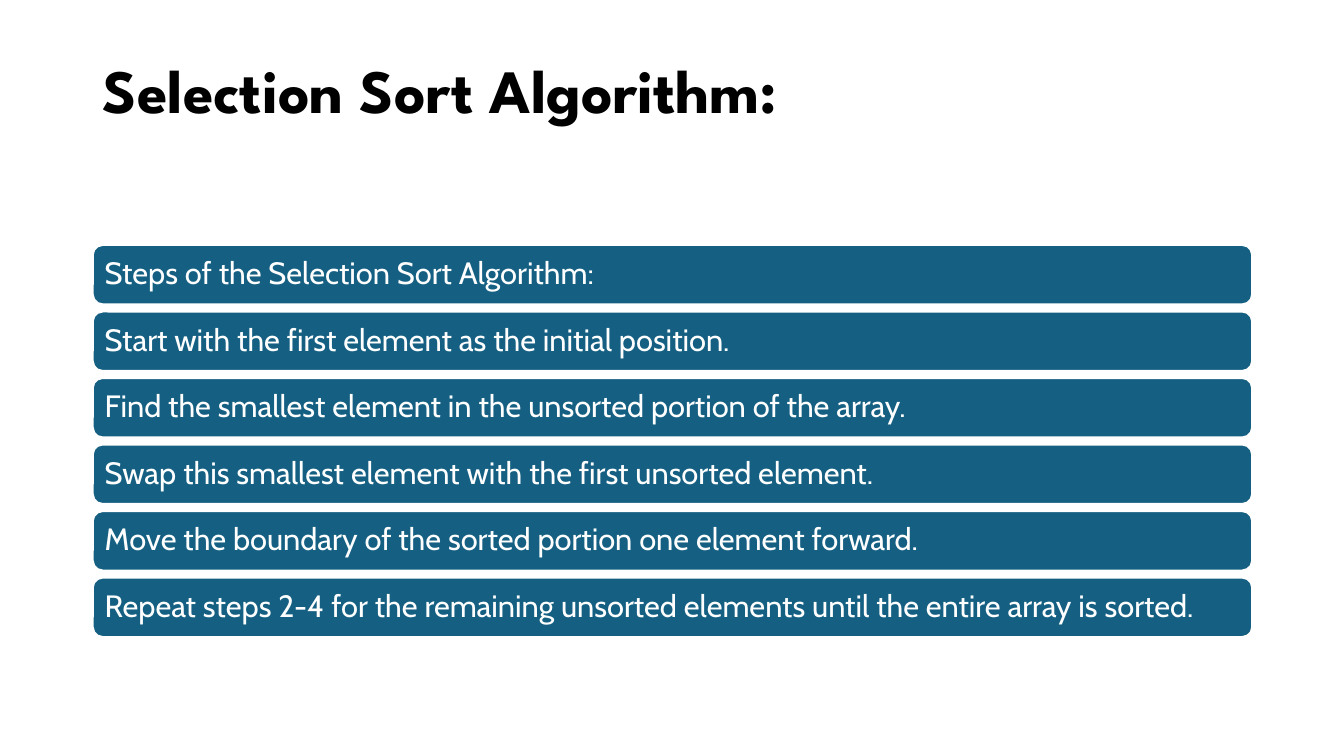
"""Build a slide listing the steps of the selection sort algorithm."""
from dataclasses import dataclass

from pptx import Presentation
from pptx.dml.color import RGBColor
from pptx.enum.shapes import MSO_SHAPE
from pptx.enum.text import MSO_ANCHOR, PP_ALIGN
from pptx.slide import Slide
from pptx.text.text import TextFrame
from pptx.util import Inches, Pt


@dataclass(frozen=True)
class TextStyle:
    font: str
    size: float
    color: RGBColor
    bold: bool = False


@dataclass(frozen=True)
class Theme:
    bar: RGBColor = RGBColor(0x15, 0x60, 0x82)
    outline: RGBColor = RGBColor(0xFF, 0xFF, 0xFF)
    title: TextStyle = TextStyle("League Spartan", 44, RGBColor(0, 0, 0), True)
    step: TextStyle = TextStyle("Cabin", 22, RGBColor(0xFF, 0xFF, 0xFF))


@dataclass(frozen=True)
class Step:
    text: str
    top: float


THEME = Theme()
LEFT, WIDTH = 0.92, 11.5
FIRST_TOP, BAR_HEIGHT, PITCH = 2.43, 0.59, 0.66
STEP_TEXTS = (
    "Steps of the Selection Sort Algorithm:",
    "Start with the first element as the initial position.",
    "Find the smallest element in the unsorted portion of the array.",
    "Swap this smallest element with the first unsorted element.",
    "Move the boundary of the sorted portion one element forward.",
    "Repeat steps 2-4 for the remaining unsorted elements until the entire array is sorted.",
)
STEPS = [Step(text, FIRST_TOP + row * PITCH) for row, text in enumerate(STEP_TEXTS)]


def write(frame: TextFrame, text: str, style: TextStyle, anchor: MSO_ANCHOR) -> None:
    frame.text = text
    frame.word_wrap = True
    frame.vertical_anchor = anchor
    para = frame.paragraphs[0]
    para.alignment = PP_ALIGN.LEFT
    para.line_spacing = 0.9
    para.font.name = style.font
    para.font.size = Pt(style.size)
    para.font.bold = style.bold
    para.font.color.rgb = style.color


def add_title(page: Slide, text: str) -> None:
    title = page.shapes.title
    title.left, title.top = Inches(LEFT), Inches(0.4)
    title.width, title.height = Inches(WIDTH), Inches(1.45)
    title.text_frame.margin_top = Inches(0.2)
    write(title.text_frame, text, THEME.title, MSO_ANCHOR.TOP)


def add_step(page: Slide, step: Step) -> None:
    bar = page.shapes.add_shape(
        MSO_SHAPE.ROUNDED_RECTANGLE,
        Inches(LEFT), Inches(step.top), Inches(WIDTH), Inches(BAR_HEIGHT),
    )
    bar.shadow.inherit = False
    bar.fill.solid()
    bar.fill.fore_color.rgb = THEME.bar
    bar.line.color.rgb = THEME.outline
    bar.line.width = Pt(1.5)
    frame = bar.text_frame
    frame.margin_left = frame.margin_right = Inches(0.09)
    frame.margin_top = frame.margin_bottom = Inches(0.09)
    write(frame, step.text, THEME.step, MSO_ANCHOR.MIDDLE)


def main() -> None:
    deck = Presentation()
    deck.slide_width, deck.slide_height = Inches(13.33), Inches(7.5)
    page = deck.slides.add_slide(deck.slide_layouts[5])
    add_title(page, "Selection Sort Algorithm:")
    for step in STEPS:
        add_step(page, step)
    deck.save("out.pptx")


if __name__ == "__main__":
    main()
